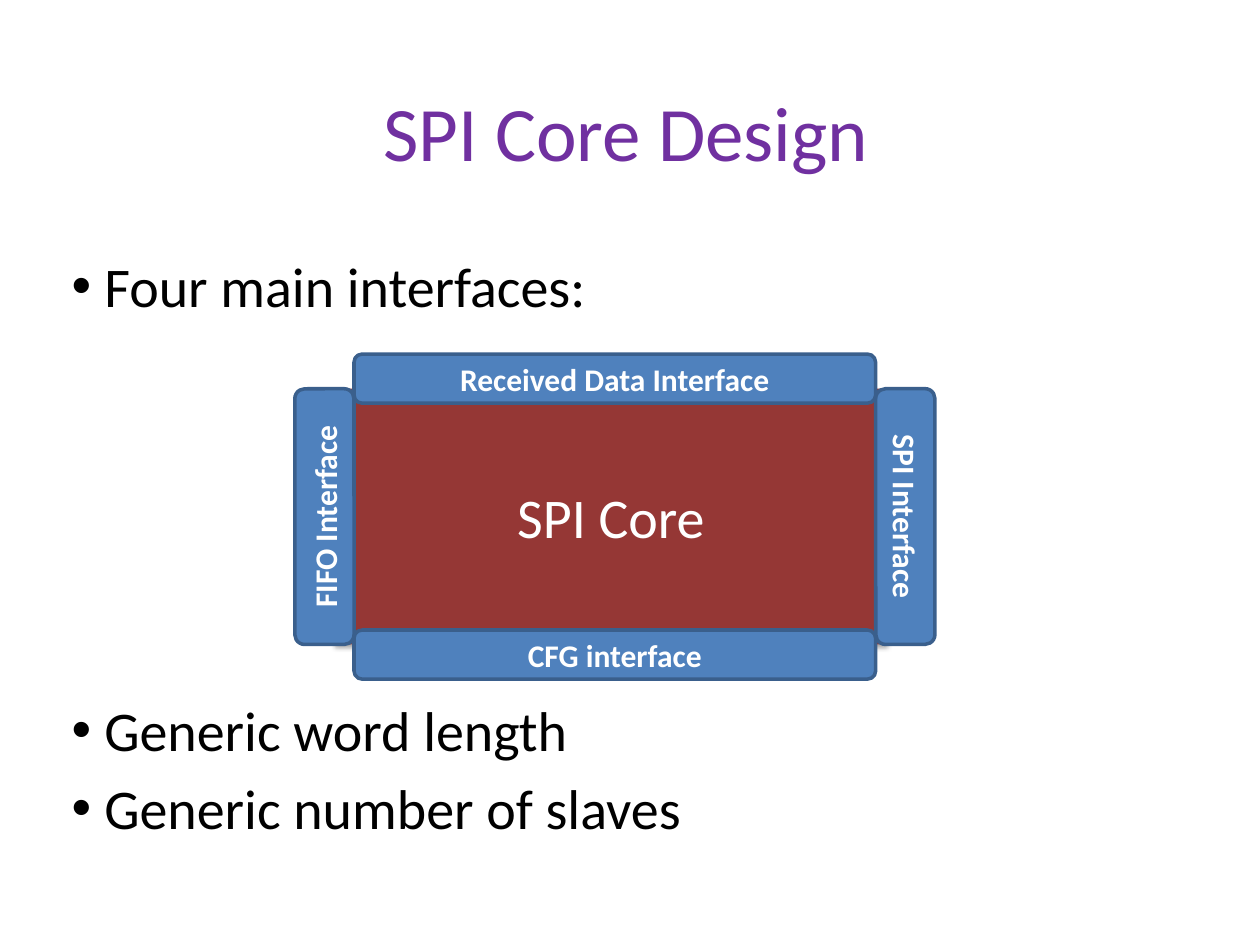
from lxml import etree
from pptx import Presentation
from pptx.dml.color import RGBColor
from pptx.enum.shapes import MSO_SHAPE
from pptx.enum.text import MSO_ANCHOR, PP_ALIGN
from pptx.oxml import parse_xml
from pptx.oxml.ns import nsdecls, qn
from pptx.util import Inches, Pt

RECTANGLE, ROUNDED = MSO_SHAPE.RECTANGLE, MSO_SHAPE.ROUNDED_RECTANGLE
CENTER, LEFT = PP_ALIGN.CENTER, PP_ALIGN.LEFT
MIDDLE = MSO_ANCHOR.MIDDLE

PURPLE = RGBColor(0x70, 0x30, 0xA0)
BLACK = RGBColor(0x00, 0x00, 0x00)
WHITE = RGBColor(0xFF, 0xFF, 0xFF)
DARK_RED = RGBColor(0x95, 0x37, 0x35)
BLUE = RGBColor(0x4F, 0x81, 0xBD)
DARK_BLUE = RGBColor(0x3A, 0x5F, 0x8C)

FONT = "Calibri"
BULLET_INDENT = Inches(0.26)


def add_run(paragraph, text, size, color, bold=False, alignment=CENTER):
    paragraph.alignment = alignment
    run = paragraph.add_run()
    run.text = text
    run.font.name = FONT
    run.font.size = Pt(size)
    run.font.bold = bold
    run.font.color.rgb = color


def add_text_frame(slide, left, top, width, height):
    text_frame = slide.shapes.add_textbox(left, top, width, height).text_frame
    text_frame.word_wrap = True
    return text_frame


def add_title(slide, text, left, top, width, height):
    text_frame = add_text_frame(slide, left, top, width, height)
    text_frame.vertical_anchor = MIDDLE
    add_run(text_frame.paragraphs[0], text, 44, PURPLE)


def add_bullets(slide, items, left, top, width, height):
    text_frame = add_text_frame(slide, left, top, width, height)
    for index, item in enumerate(items):
        paragraph = text_frame.add_paragraph() if index else text_frame.paragraphs[0]
        add_run(paragraph, item, 32, BLACK, alignment=LEFT)
        paragraph.space_before = Pt(6)
        properties = paragraph._p.get_or_add_pPr()
        properties.set("marL", str(BULLET_INDENT))
        properties.set("indent", str(-BULLET_INDENT))
        etree.SubElement(properties, qn("a:buFont")).set("typeface", "Arial")
        etree.SubElement(properties, qn("a:buChar")).set("char", "•")


def add_block(slide, kind, text, size, fill, left, top, width, height, bold=False):
    shape = slide.shapes.add_shape(kind, left, top, width, height)
    shape.shadow.inherit = False
    shape.fill.solid()
    shape.fill.fore_color.rgb = fill
    shape.line.fill.background()
    shape.text_frame.word_wrap = True
    shape.text_frame.vertical_anchor = MIDDLE
    add_run(shape.text_frame.paragraphs[0], text, size, WHITE, bold)
    return shape


def add_core(slide, left, top, width, height):
    core = add_block(slide, RECTANGLE, "SPI Core", 32, DARK_RED, left, top, width, height)
    core._element.spPr.find(qn("a:effectLst")).append(parse_xml(
        f'<a:outerShdw {nsdecls("a")} blurRad="{Pt(3.1)}" dist="{Pt(1.8)}" '
        'dir="5400000" rotWithShape="0"><a:srgbClr val="000000">'
        '<a:alpha val="35000"/></a:srgbClr></a:outerShdw>'))


def add_interface(slide, text, center_x, center_y, length, thickness, rotation=0):
    """Centre a bar on a point; length runs along its text."""
    bar = add_block(slide, ROUNDED, text, 18, BLUE, center_x - length // 2,
                    center_y - thickness // 2, length, thickness, bold=True)
    bar.line.color.rgb = DARK_BLUE
    bar.line.width = Pt(2)
    bar.rotation = rotation


def add_core_diagram(slide, left, top, width, height):
    """Draw the core with one interface bar on each side of the box."""
    side_thickness, end_thickness = Inches(0.47), Inches(0.39)
    core_height = Inches(2.03)
    middle_x, middle_y = left + width // 2, top + height // 2
    bar_length = width - 2 * side_thickness
    core_width = Inches(4.38)
    # The core starts behind the left bar and ends behind the right one.
    add_core(slide, left + Inches(0.32), middle_y - core_height // 2,
             core_width, core_height)
    add_interface(slide, "SPI Interface", left + width - side_thickness // 2,
                  middle_y, core_height, side_thickness, 90)
    add_interface(slide, "FIFO Interface", left + side_thickness // 2,
                  middle_y, core_height, side_thickness, 270)
    add_interface(slide, "CFG interface", middle_x,
                  top + height - end_thickness // 2, bar_length, end_thickness)
    add_interface(slide, "Received Data Interface", middle_x,
                  top + end_thickness // 2, bar_length, end_thickness)


def main():
    presentation = Presentation()
    presentation.slide_width, presentation.slide_height = Inches(10), Inches(7.5)
    slide = presentation.slides.add_slide(presentation.slide_layouts[6])
    add_title(slide, "SPI Core Design",
              Inches(0.72), Inches(0.23), Inches(8.5), Inches(1.61))
    add_bullets(slide, ["Four main interfaces:"],
                Inches(0.47), Inches(1.95), Inches(9.06), Inches(2.42))
    add_core_diagram(slide, Inches(2.34), Inches(2.81), Inches(5.08), Inches(2.58))
    add_bullets(slide, ["Generic word length", "Generic number of slaves"],
                Inches(0.47), Inches(5.47), Inches(9.06), Inches(1.64))
    presentation.save("out.pptx")


if __name__ == "__main__":
    main()
